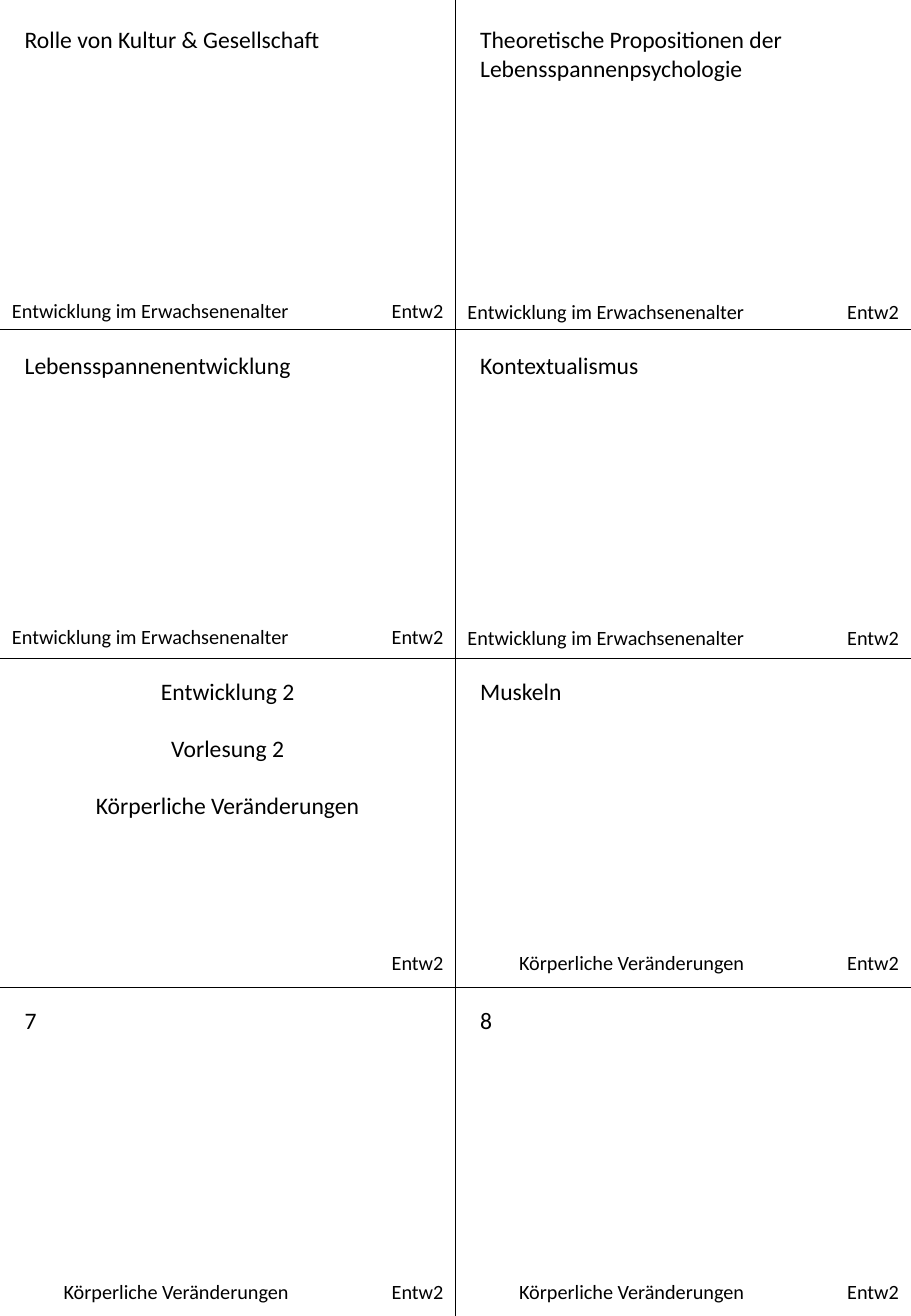
"""Build a sheet of eight study cards in a grid of two columns and four rows."""

from dataclasses import dataclass

from lxml.etree import SubElement
from pptx import Presentation
from pptx.dml.color import RGBColor
from pptx.enum.shapes import MSO_CONNECTOR
from pptx.enum.text import MSO_AUTO_SIZE as AutoSize, PP_ALIGN as Align
from pptx.oxml.ns import qn
from pptx.slide import Slide
from pptx.util import Pt

BLACK = RGBColor(0, 0, 0)
FONT = "Calibri"
COLUMNS, ROWS = 2, 4
SLIDE_WIDTH, SLIDE_HEIGHT = 540, 779.76
CARD_WIDTH, CARD_HEIGHT = SLIDE_WIDTH / COLUMNS, SLIDE_HEIGHT / ROWS
HEADING_TOPS = (11.5, 204.5, 397.5, 592.5)
HEADING_MARGIN = 7.5
FOOTER_OFFSETS = (161.75, 162.25)
TOPIC_WIDTH, TAG_WIDTH = 209, 45.4
TAG = "Entw2"
ADULTHOOD = "Entwicklung im Erwachsenenalter"
BODY_CHANGES = "Körperliche Veränderungen"


@dataclass(frozen=True)
class Card:
    heading: str
    topic: str = ""
    heading_align: Align = Align.LEFT
    topic_align: Align = Align.LEFT
    heading_height: float = 24.5


CARDS = (
    Card("Rolle von Kultur & Gesellschaft", ADULTHOOD),
    Card("Theoretische Propositionen der Lebensspannenpsychologie", ADULTHOOD,
         heading_height=41),
    Card("Lebensspannenentwicklung", ADULTHOOD),
    Card("Kontextualismus", ADULTHOOD),
    Card(f"Entwicklung 2\nVorlesung 2\n{BODY_CHANGES}",
         heading_align=Align.CENTER, heading_height=92),
    Card("Muskeln", BODY_CHANGES, topic_align=Align.CENTER),
    Card("7", BODY_CHANGES, topic_align=Align.CENTER),
    Card("8", BODY_CHANGES, topic_align=Align.CENTER),
)


def add_cut_line(slide: Slide, x1: float, y1: float, x2: float, y2: float) -> None:
    connector = slide.shapes.add_connector(
        MSO_CONNECTOR.STRAIGHT, Pt(x1), Pt(y1), Pt(x2), Pt(y2))
    connector.line.color.rgb = BLACK
    connector.line.width = Pt(0.5)
    SubElement(connector._element.spPr, qn("a:effectLst"))


def add_text(slide: Slide, text: str, left: float, top: float, width: float,
             height: float, size: float, align: Align, wrap: bool = True) -> None:
    shape = slide.shapes.add_textbox(Pt(left), Pt(top), Pt(width), Pt(height))
    text_frame = shape.text_frame
    text_frame.word_wrap = wrap
    text_frame.auto_size = AutoSize.SHAPE_TO_FIT_TEXT
    text_frame.text = text
    for index, paragraph in enumerate(text_frame.paragraphs):
        paragraph.alignment = align
        if index:
            paragraph.space_before = Pt(17)
        for run in paragraph.runs:
            run.font.name = FONT
            run.font.size = Pt(size)
            run.font.color.rgb = BLACK


def add_card(slide: Slide, card: Card, row: int, column: int) -> None:
    left, top = column * CARD_WIDTH, HEADING_TOPS[row]
    footer_top = top + FOOTER_OFFSETS[column]
    add_text(slide, card.heading, left + HEADING_MARGIN, top,
             CARD_WIDTH - 2 * HEADING_MARGIN, card.heading_height, 14,
             card.heading_align)
    if card.topic:
        add_text(slide, card.topic, left, footer_top, TOPIC_WIDTH, 36, 12,
                 card.topic_align)
    add_text(slide, TAG, left + CARD_WIDTH - TAG_WIDTH, footer_top, TAG_WIDTH,
             21.6, 12, Align.RIGHT, wrap=False)


def main() -> None:
    presentation = Presentation()
    presentation.slide_width = Pt(SLIDE_WIDTH)
    presentation.slide_height = Pt(SLIDE_HEIGHT)
    slide = presentation.slides.add_slide(
        presentation.slide_layouts.get_by_name("Blank"))
    for row in range(1, ROWS):
        add_cut_line(slide, 0, row * CARD_HEIGHT, SLIDE_WIDTH, row * CARD_HEIGHT)
    add_cut_line(slide, CARD_WIDTH, 0, CARD_WIDTH, SLIDE_HEIGHT)
    for index, card in enumerate(CARDS):
        add_card(slide, card, *divmod(index, COLUMNS))
    presentation.save("out.pptx")


if __name__ == "__main__":
    main()
